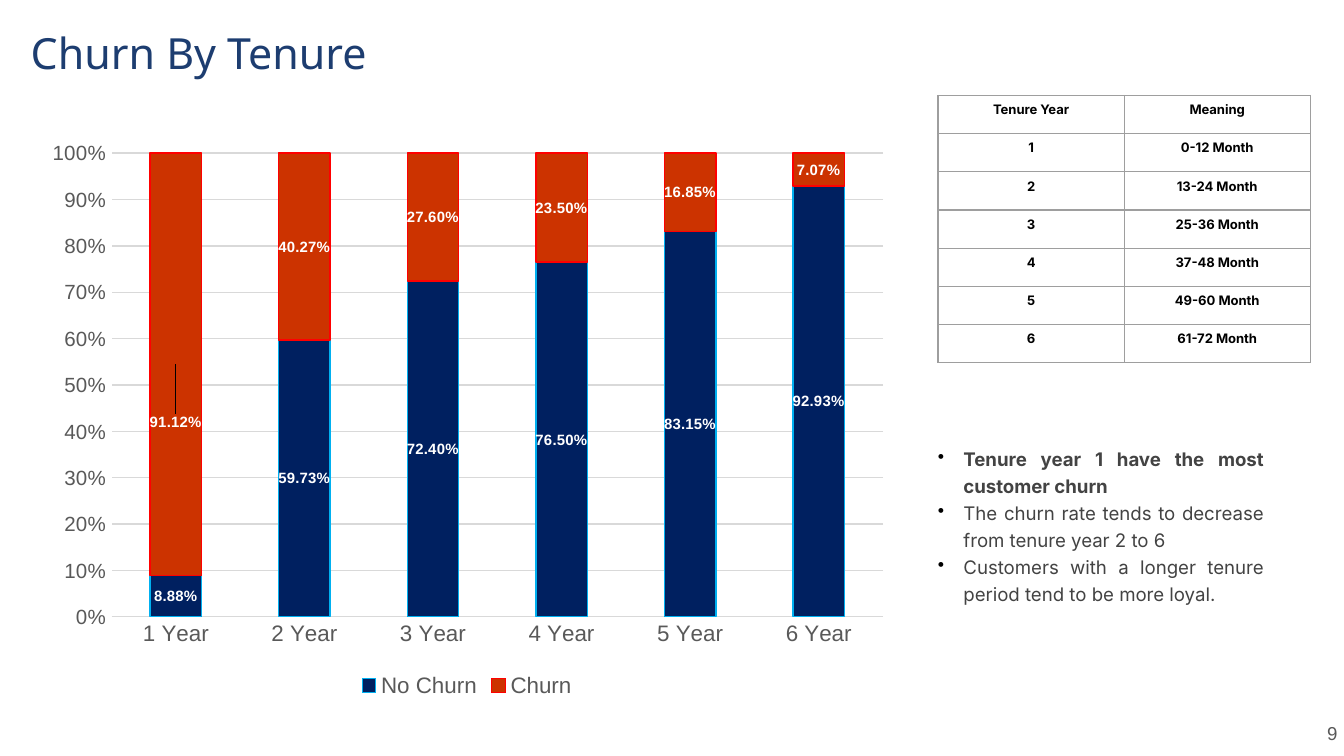
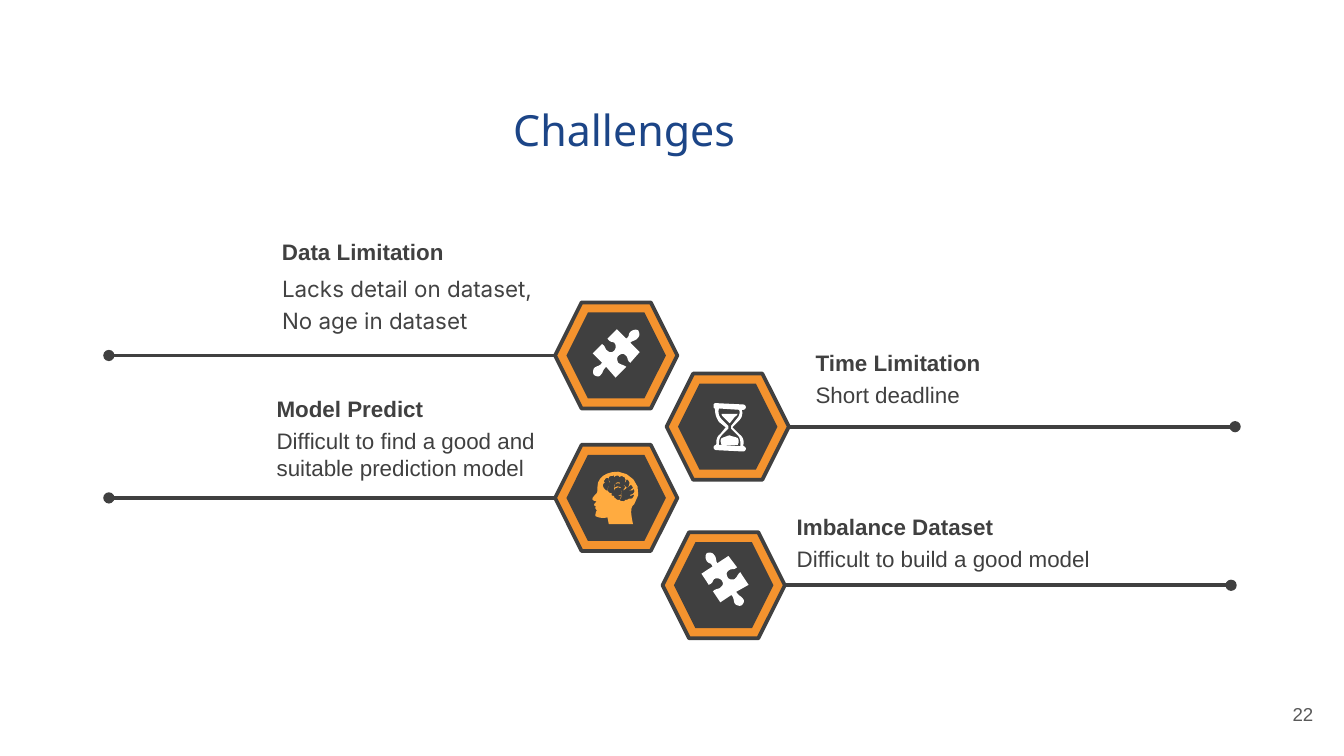
from itertools import product

from lxml.etree import SubElement
from pptx import Presentation
from pptx.chart.data import CategoryChartData
from pptx.dml.color import RGBColor
from pptx.enum.chart import XL_CHART_TYPE as CT, XL_LABEL_POSITION as LP
from pptx.enum.chart import XL_LEGEND_POSITION as LEG, XL_TICK_MARK as TICK
from pptx.enum.shapes import MSO_CONNECTOR as CONN, MSO_SHAPE as SHAPE
from pptx.enum.text import MSO_ANCHOR as ANCHOR, PP_ALIGN as AL
from pptx.oxml import parse_xml
from pptx.oxml.ns import nsdecls, qn
from pptx.util import Inches, Pt

GRID = Inches(0.1)
COLORS = {
    "title": "1D3D70", "title2": "1C4587", "body": "434343", "dark": "404040",
    "axis": "595959", "grid": "D9D9D9", "border": "9E9E9E", "black": "000000",
    "white": "FFFFFF", "orange": "F4932E", "amber": "FFAB40",
    "stay": "002060", "stay_line": "00B0F0", "churn": "CC3300", "churn_line": "FF0000",
}
PUZZLE = """M34,1 C35,3,35,5,34,6 C32,9,30,8,28,10 L35,17 L28,25 C25,23,27,21,24,19
C23,18,21,18,19,20 C18,21,18,23,19,25 C22,27,22,26,25,28 L17,36 L10,28 C7,31,8,32,6,34
C5,36,2,35,1,34 C0,33,0,31,1,29 C3,27,5,28,7,25 L0,18 L7,11 C10,13,9,15,11,16
C13,18,15,17,16,16 C17,15,18,12,16,10 C14,9,13,10,11,7 L18,0 L25,7 C28,5,26,4,28,2
C30,0,33,0,34,1"""
GLASS = """M12,26 C14,27,16,27,18,28 C19,30,19,31,18,33 L6,33 C5,31,5,29,6,28
C9,27,11,26,12,26 M6,10 L18,10 C17,11,17,12,16,12 L12,17 L7,12 C6,11,6,11,6,10
M4,6 C3,9,4,12,6,14 L11,19 L11,21 L6,26 C4,28,4,31,4,33 L20,34 C20,31,20,28,18,26
L13,21 L13,19 L17,14 C19,12,20,9,19,7"""
STAND = """M2,2 L22,3 C23,3,24,4,24,5 C24,6,23,7,22,7 L21,7
C22,10,21,13,19,15 L14,20 L19,25 C22,27,23,30,22,34 C23,34,24,35,24,36 C24,37,23,38,22,38
L2,37 C1,37,0,36,0,35 C0,34,1,33,2,33 C2,30,2,27,5,25 L9,20 L4,16 C2,13,1,10,1,6
C0,6,0,5,0,4 C0,3,0,2,2,2"""
FOLDS = """M18,11 C19,11,20,11,21,12 L20,12 C20,12,19,11,18,12 C17,12,16,13,16,14
C16,13,16,12,16,12 M18,8 C19,8,19,8,20,8 L20,9 C19,8,18,9,17,9 C16,10,16,11,16,12
C16,11,16,10,16,10 L17,9"""
BRAIN_BACK = """M18,3 C17,3,17,3,16,4 L16,3 C15,3,13,3,12,4 C12,6,12,7,13,8
C12,8,12,6,12,5 C11,4,9,5,9,6 C8,7,8,7,9,8 C9,8,8,9,8,9 C7,10,8,12,9,13
C10,14,10,14,11,14 C11,13,11,12,12,11 C11,12,11,13,11,14 C12,15,12,16,14,16 L14,17
C14,18,15,18,16,18 L16,19 C17,20,18,21,19,21 L20,21 C21,20,21,18,21,17
C20,18,19,18,19,18 C20,18,21,18,21,17 C22,16,22,15,21,14 C22,15,22,16,21,17
C22,18,21,20,20,21"""
BRAIN_FRONT = """C21,22,22,22,23,22 C24,22,24,21,24,21 C25,21,26,21,27,20 L28,20
C29,20,30,20,30,19 C31,18,31,17,30,17 C30,17,29,18,28,18 L28,17 C29,17,30,17,31,15
C31,14,31,13,30,13 C30,14,29,14,27,14 C28,14,29,13,30,12 C30,11,29,11,29,10 L28,10
C27,11,26,12,25,12 C25,12,25,13,24,13 C24,13,23,14,23,14 L23,13 L24,12
C24,11,24,10,23,10 C23,10,24,10,24,11 C25,11,25,11,25,12 C26,12,27,11,27,10
C28,8,27,7,26,6 L25,6 C25,7,24,8,24,8 C24,7,25,6,24,5 C24,5,24,4,23,4
C22,3,21,3,20,4 L19,3"""
FACE = """M19,0 C30,1,39,13,31,24 C28,26,28,30,30,39 L12,39 L11,34
C7,35,4,34,2,33 C2,33,2,30,3,29 C3,28,2,28,2,27 C2,26,2,26,3,26 L1,25
C1,24,2,23,3,22 C1,22,0,21,0,21 C-1,20,1,18,3,16 C4,14,3,13,4,8 C6,3,11,0,19,0"""
HOURGLASS = (GLASS, STAND)
HEAD = (FOLDS, BRAIN_BACK, BRAIN_FRONT, FACE)


def rgb(name):
    """Return a palette colour."""
    return RGBColor.from_string(COLORS[name])


def cells(*lengths):
    """Turn grid counts into lengths."""
    return [int(n * GRID) for n in lengths]


def style_font(font, size, color, name="Arial", bold=False):
    """Set the look of a font."""
    font.size, font.name, font.bold = Pt(size), name, bold
    font.color.rgb = rgb(color)


def style_line(line, color, width=0.75):
    """Set the colour and width of a line."""
    line.color.rgb, line.width = rgb(color), Pt(width)


def add_text(slide, box, text, size=12, color="dark", font="Arial", bold=False,
             align=AL.LEFT, anchor=ANCHOR.TOP, spacing=None, inset=0.05):
    """Add a one-paragraph text box."""
    tf = slide.shapes.add_textbox(*cells(*box)).text_frame
    tf.word_wrap, tf.vertical_anchor = True, anchor
    tf.margin_top = tf.margin_bottom = Inches(inset)
    p = tf.paragraphs[0]
    p.alignment, p.line_spacing = align, spacing
    r = p.add_run()
    r.text = text
    style_font(r.font, size, color, font, bold)


def add_frame(slide, title, title_box, title_color, number, number_box):
    """Add the title and the page number."""
    add_text(slide, number_box, number, 10, "axis", align=AL.RIGHT,
             anchor=ANCHOR.MIDDLE, inset=0.1)
    add_text(slide, title_box, title, 23, title_color, "Noto Sans", inset=0.1)


def add_bullets(slide, box, items):
    """Add justified bullets, the first one bold."""
    tf = slide.shapes.add_textbox(*cells(*box)).text_frame
    tf.word_wrap = True
    tf.margin_top = tf.margin_bottom = Inches(0.1)
    for i, text in enumerate(items):
        p = tf.add_paragraph() if i else tf.paragraphs[0]
        pPr = p._p.get_or_add_pPr()
        pPr.set("marL", str(Inches(0.19)))
        pPr.set("indent", str(-Inches(0.19)))
        clr = SubElement(pPr, qn("a:buClr"))
        SubElement(clr, qn("a:srgbClr"), val=COLORS["black"])
        SubElement(pPr, qn("a:buChar"), char="•")
        p.alignment, p.line_spacing = AL.JUSTIFY, 1.2
        r = p.add_run()
        r.text = text
        style_font(r.font, 10, "body", "Inter", i == 0)


def manual_layout(x, y, w=None, h=None):
    """Build a chart layout from shares of the chart."""
    inner = w is not None
    parts = ['<c:layoutTarget val="inner"/>', '<c:xMode val="edge"/>',
             '<c:yMode val="edge"/>'] if inner else []
    sizes = [("x", x), ("y", y)] + ([("w", w), ("h", h)] if inner else [])
    parts += [f'<c:{k} val="{v}"/>' for k, v in sizes]
    return parse_xml(f'<c:layout {nsdecls("c")}><c:manualLayout>{"".join(parts)}'
                     '</c:manualLayout></c:layout>')


def add_churn_chart(slide, box):
    """Add the stacked churn shares by tenure."""
    data = CategoryChartData(number_format="0.00%")
    data.categories = [f"{n} Year" for n in range(1, 7)]
    data.add_series("No Churn", (0.0888, 0.5973, 0.724, 0.765, 0.8315, 0.9293))
    data.add_series("Churn", (0.9112, 0.4027, 0.276, 0.235, 0.1685, 0.0707))
    chart = slide.shapes.add_chart(CT.COLUMN_STACKED_100, *cells(*box), data).chart
    style_font(chart.font, 10, "black")
    chart.has_title = False
    chart.has_legend = True
    chart.legend.position, chart.legend.include_in_layout = LEG.BOTTOM, False
    style_font(chart.legend.font, 12, "axis")
    cat, val = chart.category_axis, chart.value_axis
    for axis, size in ((cat, 12), (val, 11)):
        axis.major_tick_mark = axis.minor_tick_mark = TICK.NONE
        style_font(axis.tick_labels.font, size, "axis")
    style_line(cat.format.line, "grid")
    val.format.line.fill.background()
    val.minimum_scale, val.maximum_scale, val.major_unit = 0, 1, 0.1
    val.tick_labels.number_format = "0%"
    val.tick_labels.number_format_is_linked = False
    style_line(val.major_gridlines.format.line, "grid")
    plot = chart.plots[0]
    plot.gap_width, plot.overlap, plot.vary_by_categories = 150, 100, False
    for series, color in zip(plot.series, ("stay", "churn")):
        series.format.fill.solid()
        series.format.fill.fore_color.rgb = rgb(color)
        style_line(series.format.line, color + "_line")
        labels = series.data_labels
        labels.show_value, labels.number_format = True, "0.00%"
        labels.number_format_is_linked = False
        style_font(labels.font, 8, "white", bold=True)
    churn = plot.series[1]
    label = churn.points[0].data_label
    label.position = LP.CENTER
    style_font(label.font, 8, "white", bold=True)
    churn.data_labels._element.find(qn("c:dLbl")).insert(1, manual_layout(0, 0.1))
    area = chart._chartSpace.chart.plotArea
    for old in area.findall(qn("c:layout")):
        area.remove(old)
    area.insert(0, manual_layout(0.09, 0.04, 0.89, 0.81))


def add_tenure_table(slide, box, rows):
    """Add the bordered table of tenure years."""
    table = slide.shapes.add_table(len(rows), 2, *cells(*box)).table
    table.first_row = table.horz_banding = False
    for i, j in product(range(len(rows)), range(2)):
        cell = table.cell(i, j)
        cell.text = rows[i][j]
        p = cell.text_frame.paragraphs[0]
        p.alignment = AL.CENTER
        style_font(p.runs[0].font, 7, "black", "Inter", True)
        tcPr = cell._tc.get_or_add_tcPr()
        for side in ("lnL", "lnR", "lnT", "lnB"):
            ln = SubElement(tcPr, qn("a:" + side), w=str(Pt(0.75)))
            fill = SubElement(ln, qn("a:solidFill"))
            SubElement(fill, qn("a:srgbClr"), val=COLORS["border"])
        cell.fill.background()


def trace(outline):
    """Turn an outline in hundredths of an inch into lists of points."""
    contours = []
    for part in outline.split():
        n = [float(v) * 100 for v in part[1:].split(",")]
        pts = list(zip(n[::2], n[1::2]))
        if part[0] == "M":
            contours.append(pts)
        elif part[0] == "L":
            contours[-1] += pts
        else:
            curve = [contours[-1][-1]] + pts
            for t in (0.2, 0.4, 0.6, 0.8, 1):
                u = 1 - t
                weights = (u ** 3, 3 * u * u * t, 3 * u * t * t, t ** 3)
                contours[-1].append(tuple(
                    sum(w * q[k] for w, q in zip(weights, curve)) for k in (0, 1)))
    return contours


def add_icon(slide, x, y, outlines, color, rotation=0):
    """Draw an icon with its corner at a grid point."""
    first, *others = trace(" ".join(outlines))
    fb = slide.shapes.build_freeform(*first[0], scale=Inches(0.01) / 100)
    fb.add_line_segments(first[1:], close=True)
    for pts in others:
        fb.move_to(*pts[0])
        fb.add_line_segments(pts[1:], close=True)
    sp = fb.convert_to_shape(*cells(x, y))
    sp.shadow.inherit = False
    sp.fill.solid()
    sp.fill.fore_color.rgb = rgb(color)
    sp.line.fill.background()
    sp.rotation = rotation


def add_hexagon(slide, box, color, outlined):
    """Add a filled hexagon."""
    sp = slide.shapes.add_shape(SHAPE.HEXAGON, *cells(*box))
    sp.shadow.inherit = False
    sp.fill.solid()
    sp.fill.fore_color.rgb = rgb(color)
    if outlined:
        style_line(sp.line, "dark", 2)
    else:
        sp.line.fill.background()


def add_challenge(slide, box, side, text_at, head, body, icon):
    """Add a hexagon with its icon, its line and its two texts."""
    x, y, w, h = box
    add_hexagon(slide, box, "orange", True)
    add_hexagon(slide, (x + 0.85, y + 0.75, w - 1.7, h - 1.5), "dark", False)
    start = x + w if side > 0 else x
    mid = y + h / 2
    c = slide.shapes.add_connector(
        CONN.STRAIGHT, *cells(start, mid, start + side * 33.2, mid))
    style_line(c.line, "dark", 2)
    spPr = c.element.spPr
    SubElement(spPr.find(qn("a:ln")), qn("a:tailEnd"), type="oval")
    SubElement(spPr, qn("a:effectLst"))
    dx, dy, *look = icon
    add_icon(slide, x + dx, y + dy, *look)
    tx, ty, body_w, body_h, fmt = text_at
    add_text(slide, (tx, ty + 2.4, body_w, body_h), body, **fmt)
    add_text(slide, (tx, ty, 28.3, 3), head, bold=True)


def churn_slide(slide):
    """Build the churn by tenure slide."""
    add_frame(slide, "Churn By Tenure", (1.3, 1, 31.6, 6.1), "title",
              "9", (96.7, 52.4, 3.8, 4.3))
    add_bullets(slide, (68.8, 32, 26.2, 17.1), (
        "Tenure year 1 have the most customer churn",
        "The churn rate tends to decrease from tenure year 2 to 6",
        "Customers with a longer tenure period tend to be more loyal."))
    add_churn_chart(slide, (2.5, 9.7, 64.5, 42.6))
    rows = [("Tenure Year", "Meaning")]
    rows += [(str(n), f"{12 * n - 11 if n > 1 else 0}-{12 * n} Month") for n in range(1, 7)]
    add_tenure_table(slide, (69.8, 7.1, 27.7, 19.9), rows)


def challenges_slide(slide):
    """Build the challenges slide."""
    add_frame(slide, "Challenges", (37.2, 6.7, 20.6, 5.3), "title2",
              "22", (92.7, 51, 6, 4.3))
    inter = {"font": "Inter", "color": "body", "spacing": 1.2}
    for x, y, *parts in (
        (41.3, 22.5, -1, (20, 17.2, 21.1, 5.7, inter), "Data Limitation",
         "Lacks detail on dataset, No age in dataset", (2.8, 2, [PUZZLE], "white")),
        (49.6, 27.8, 1, (59.7, 25.5, 28.3, 3, {}), "Time Limitation",
         "Short deadline", (3.5, 2, HOURGLASS, "white")),
        (41.3, 33.1, -1, (19.6, 28.9, 23.1, 5, {}), "Model Predict",
         "Difficult to find a good and suitable prediction model",
         (2.8, 2, HEAD, "amber")),
        (49.3, 39.6, 1, (58.3, 37.7, 30.7, 3, {}), "Imbalance Dataset",
         "Difficult to build a good model", (2.9, 1.7, [PUZZLE], "white", -78.4)),
    ):
        add_challenge(slide, (x, y, 9.1, 7.9), *parts)


def main():
    """Build and save the slides."""
    prs = Presentation()
    prs.slide_width, prs.slide_height = cells(100, 56.25)
    for build in (churn_slide, challenges_slide):
        build(prs.slides.add_slide(prs.slide_layouts[6]))
    prs.save("out.pptx")


if __name__ == "__main__":
    main()
